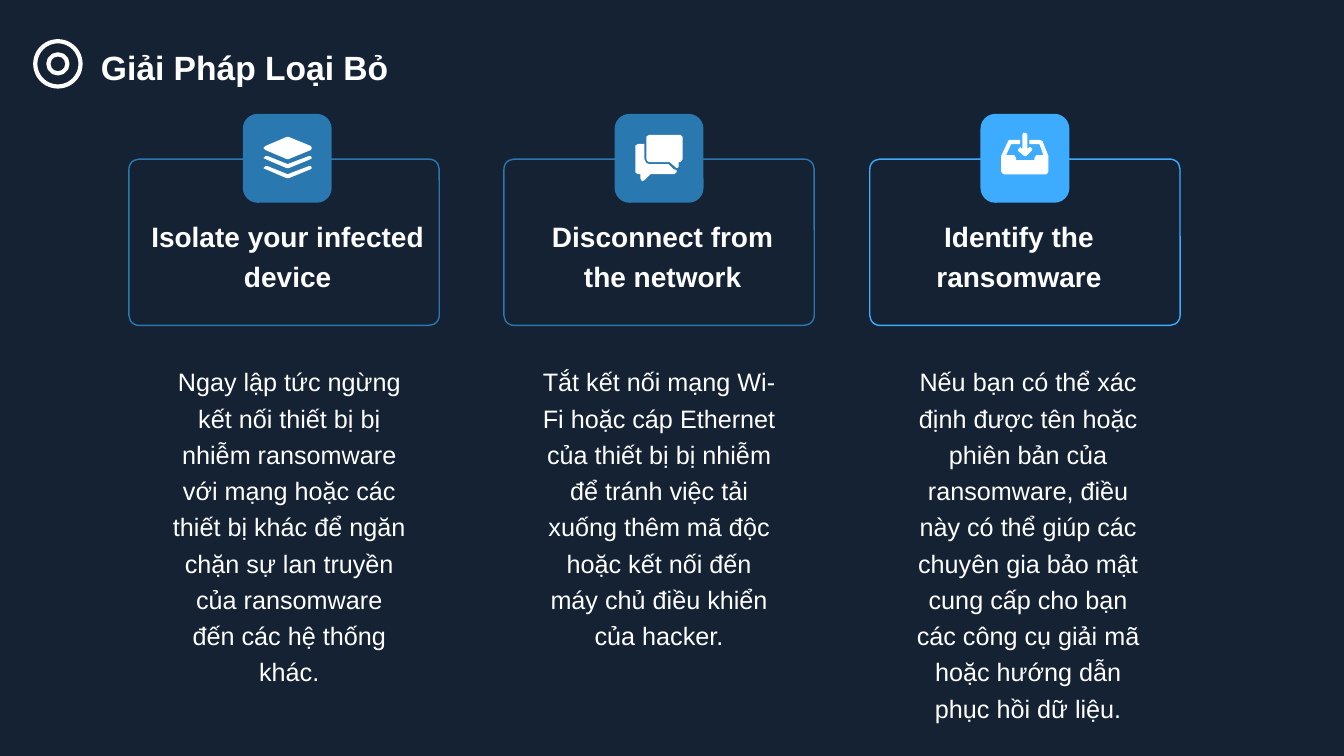
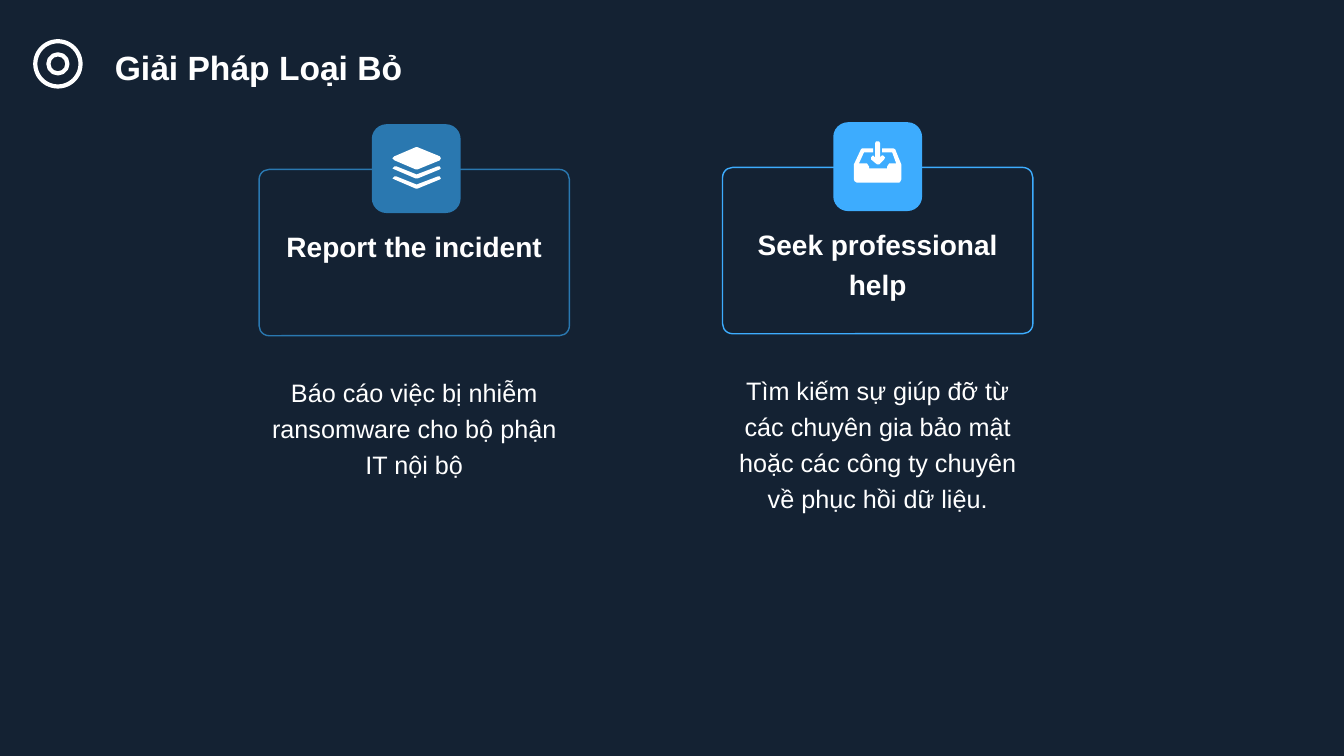
import dataclasses

import pptx
import pptx.dml.color
import pptx.enum.shapes
import pptx.enum.text
import pptx.util

Cm = pptx.util.Cm
Pt = pptx.util.Pt
SHAPES = pptx.enum.shapes.MSO_SHAPE
ALIGN = pptx.enum.text.PP_ALIGN


@dataclasses.dataclass(frozen=True)
class Theme:
    background: str = "142233"
    text: str = "FFFFFF"
    blue: str = "2A78B0"
    bright: str = "3DACFE"
    font: str = "Arial"
    title_size: int = 24
    heading_size: int = 20
    body_size: int = 18
    line_spacing: float = 1.2
    ring_width: int = 3
    frame_width: int = 1


@dataclasses.dataclass
class Card:
    left: float
    top: float
    color: str
    icon: str
    heading: str
    body: str
    heading_width: float
    body_width: float
    body_height: float
    tile_shift: float = 0
    heading_shift: float = 0
    body_shift: float = 0


THEME = Theme()
CARD_WIDTH, CARD_HEIGHT, TILE_SIZE = 7.82, 4.19, 2.24
TILE_RISE, HEADING_DROP, BODY_DROP = 1.14, 1.22, 4.95
ICON_LEFT, ICON_UNITS_PER_INCH = 0.52, 100

SHEET = [(2, 13), (0, 11), (2, 9), (23, 0), (25, 0), (47, 9), (48, 11),
         (47, 13), (25, 22), (23, 22)]
CHEVRON = [(2, 22), (0, 21), (2, 19), (4, 19), (24, 27), (45, 19), (47, 19),
           (48, 21), (47, 22), (25, 31), (23, 31)]
FRONT_BUBBLE = [(45, 27), (43, 27), (43, 32), (41, 33), (40, 32), (34, 27),
                (14, 27), (12, 26), (11, 24), (11, 2), (12, 1), (14, 0),
                (45, 0), (46, 1), (47, 2), (47, 24), (46, 26)]
BACK_BUBBLE = [(33, 29), (38, 34), (41, 35), (41, 37), (39, 39), (15, 39),
               (9, 45), (7, 46), (6, 45), (5, 43), (5, 39), (3, 39), (1, 38),
               (0, 37), (0, 11), (1, 10), (3, 9), (9, 9), (9, 24), (11, 28),
               (14, 29)]
TRAY = [(45, 41), (3, 41), (1, 40), (0, 38), (0, 23), (7, 8), (8, 7), (19, 7),
        (19, 11), (10, 11), (5, 22), (13, 22), (15, 25), (15, 27), (33, 27),
        (33, 25), (35, 22), (42, 22), (38, 11), (28, 11), (28, 7), (39, 7),
        (41, 8), (47, 23), (47, 38), (46, 40)]
ARROW = [(31, 16), (30, 18), (25, 23), (23, 23), (17, 18), (17, 16), (19, 14),
         (21, 16), (21, 2), (22, 0), (25, 0), (26, 2), (26, 16), (28, 14),
         (29, 14)]
ICONS = {
    "layers": (0.58, [SHEET, CHEVRON, [(x, y + 10) for x, y in CHEVRON]]),
    "chat": (0.53, [FRONT_BUBBLE, BACK_BUBBLE]),
    "inbox": (0.48, [TRAY, ARROW]),
}


class Deck:
    def __init__(self, theme):
        self.theme = theme
        self.presentation = pptx.Presentation()
        self.presentation.slide_width = Cm(33.87)
        self.presentation.slide_height = Cm(19.05)
        self.fill(self.presentation.slide_master.background, theme.background)
        self.slide = None

    def color(self, value):
        return pptx.dml.color.RGBColor.from_string(value)

    def fill(self, target, color):
        target.fill.solid()
        target.fill.fore_color.rgb = self.color(color)

    def add_slide(self, title, title_left):
        layout = self.presentation.slide_layouts[5]
        self.slide = self.presentation.slides.add_slide(layout)
        placeholder = self.slide.shapes.title
        bounds = {"left": title_left, "top": 0.86, "width": 15.57, "height": 1.47}
        for name, value in bounds.items():
            setattr(placeholder, name, Cm(value))
        self.set_text(placeholder, title, self.theme.title_size, True, ALIGN.LEFT)
        self.target()

    def set_text(self, shape, text, size, bold, alignment):
        frame = shape.text_frame
        frame.text = text
        paragraph = frame.paragraphs[0]
        formats = (
            (frame, {"word_wrap": True,
                     "auto_size": pptx.enum.text.MSO_AUTO_SIZE.NONE,
                     "vertical_anchor": pptx.enum.text.MSO_ANCHOR.TOP}),
            (paragraph, {"alignment": alignment, "space_before": Pt(0),
                         "line_spacing": self.theme.line_spacing}),
            (paragraph.font, {"name": self.theme.font, "size": Pt(size), "bold": bold}),
        )
        for item, values in formats:
            for name, value in values.items():
                setattr(item, name, value)
        paragraph.font.color.rgb = self.color(self.theme.text)

    def text(self, text, center, top, width, height, size, bold=False):
        box = self.slide.shapes.add_textbox(
            Cm(center - width / 2), Cm(top), Cm(width), Cm(height))
        self.set_text(box, text, size, bold, ALIGN.CENTER)

    def filled(self, shape, color):
        shape.shadow.inherit = False
        self.fill(shape, color)
        shape.line.fill.background()

    def outline(self, shapes, kind, left, top, width, height, color, weight):
        shape = shapes.add_shape(kind, Cm(left), Cm(top), Cm(width), Cm(height))
        shape.shadow.inherit = False
        shape.fill.background()
        shape.line.color.rgb = self.color(color)
        shape.line.width = Pt(weight)
        return shape

    def target(self):
        group = self.slide.shapes.add_group_shape()
        for diameter in (1.14, 0.48):
            self.outline(group.shapes, SHAPES.OVAL, 1.46 - diameter / 2,
                         1.61 - diameter / 2, diameter, diameter,
                         self.theme.text, self.theme.ring_width)

    def tile(self, left, top, color, icon):
        group = self.slide.shapes.add_group_shape()
        tile = group.shapes.add_shape(SHAPES.ROUNDED_RECTANGLE, Cm(left), Cm(top),
                                      Cm(TILE_SIZE), Cm(TILE_SIZE))
        self.filled(tile, color)
        icon_top, outlines = ICONS[icon]
        builder = group.shapes.build_freeform(
            *outlines[0][0], scale=Cm(2.54) / ICON_UNITS_PER_INCH)
        for index, outline in enumerate(outlines):
            if index:
                builder.move_to(*outline[0])
            builder.add_line_segments(outline[1:], close=True)
        symbol = builder.convert_to_shape(Cm(left + ICON_LEFT), Cm(top + icon_top))
        self.filled(symbol, self.theme.text)

    def card(self, card):
        center = card.left + CARD_WIDTH / 2
        frame = self.outline(self.slide.shapes, SHAPES.ROUNDED_RECTANGLE,
                             card.left, card.top, CARD_WIDTH, CARD_HEIGHT,
                             card.color, self.theme.frame_width)
        frame.adjustments[0] = 0.06
        self.tile(center - TILE_SIZE / 2 + card.tile_shift,
                  card.top - TILE_RISE, card.color, card.icon)
        self.text(card.heading, center + card.heading_shift,
                  card.top + HEADING_DROP, card.heading_width, 2.31,
                  self.theme.heading_size, True)
        self.text(card.body, center + card.body_shift, card.top + BODY_DROP,
                  card.body_width, card.body_height, self.theme.body_size)


REMOVAL_CARDS = [
    Card(3.25, 4.01, THEME.blue, "layers", "Isolate your infected device",
         "Ngay lập tức ngừng kết nối thiết bị bị nhiễm ransomware với mạng "
         "hoặc các thiết bị khác để ngăn chặn sự lan truyền của ransomware "
         "đến các hệ thống khác.",
         8.2, 6.4, 8.56, tile_shift=0.08, heading_shift=0.09, body_shift=0.13),
    Card(12.7, 4.01, THEME.blue, "chat", "Disconnect from the network",
         "Tắt kết nối mạng Wi-Fi hoặc cáp Ethernet của thiết bị bị nhiễm để "
         "tránh việc tải xuống thêm mã độc hoặc kết nối đến máy chủ điều "
         "khiển của hacker.",
         7.24, 6.4, 7.65, heading_shift=0.09),
    Card(21.92, 4.01, THEME.bright, "inbox", "Identify the ransomware",
         "Nếu bạn có thể xác định được tên hoặc phiên bản của ransomware, "
         "điều này có thể giúp các chuyên gia bảo mật cung cấp cho bạn các "
         "công cụ giải mã hoặc hướng dẫn phục hồi dữ liệu.",
         4.78, 6.4, 9.47, heading_shift=-0.15, body_shift=0.08),
]
SUPPORT_CARDS = [
    Card(6.53, 4.27, THEME.blue, "layers", "Report the incident",
         "Báo cáo việc bị nhiễm ransomware cho bộ phận IT nội bộ",
         8.2, 7.82, 3.02, tile_shift=0.05),
    Card(18.21, 4.22, THEME.bright, "inbox", "Seek professional help",
         "Tìm kiếm sự giúp đỡ từ các chuyên gia bảo mật hoặc các công ty "
         "chuyên về phục hồi dữ liệu.",
         7.01, 7.82, 3.94),
]


def main():
    deck = Deck(THEME)
    for title_left, cards in ((2.29, REMOVAL_CARDS), (2.64, SUPPORT_CARDS)):
        deck.add_slide("Giải Pháp Loại Bỏ", title_left)
        for card in cards:
            deck.card(card)
    deck.presentation.save("out.pptx")


if __name__ == "__main__":
    main()
